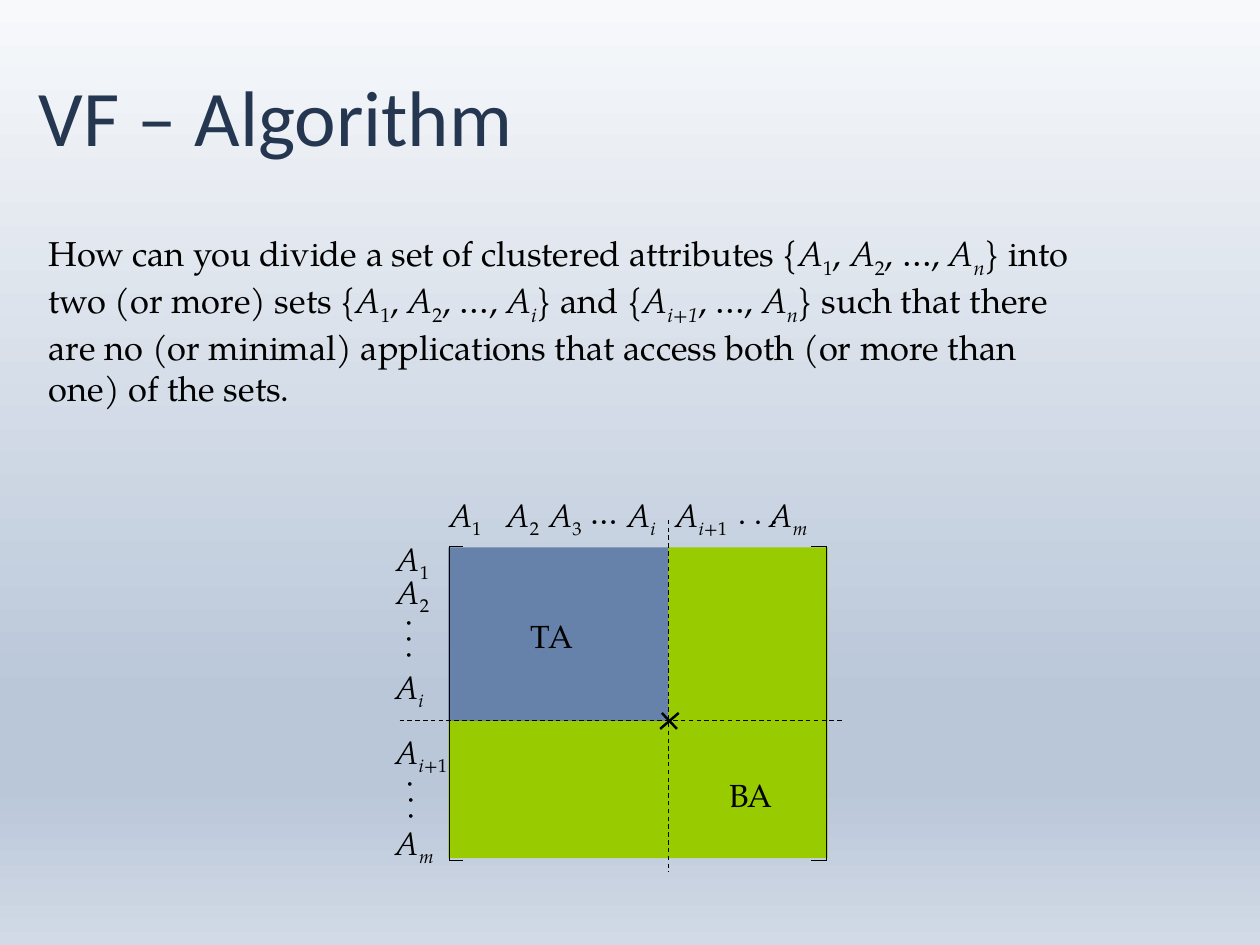
from dataclasses import dataclass

from lxml import etree
from pptx import Presentation
from pptx.dml.color import RGBColor as RGB
from pptx.enum.dml import MSO_LINE
from pptx.enum.shapes import MSO_CONNECTOR as CONN, MSO_SHAPE as SHAPE
from pptx.enum.text import MSO_ANCHOR as ANCHOR, MSO_AUTO_SIZE as AUTO, PP_ALIGN as ALIGN
from pptx.oxml.ns import qn
from pptx.util import Inches, Pt


@dataclass(frozen=True)
class Theme:
    title_font: str = "Calibri"
    text_font: str = "TeX Gyre Pagella"
    title_size: int = 64
    body_size: int = 28
    label_size: int = 26
    title: str = "253750"
    ink: str = "000000"
    green: str = "99CC00"
    blue: str = "6682AA"
    background: tuple = ((0, "F7F9FB"), (74, "BAC7D9"), (83, "BAC7D9"), (100, "D1DAE6"))


THEME = Theme()
PLAIN, ITALIC, SUB, ITALIC_SUB = (False, False), (True, False), (False, True), (True, True)


def attribute(index, style=ITALIC_SUB):
    return [("A", ITALIC), (index, style)]


def plain(text):
    return [(text, PLAIN)]


A1, A2, A3 = (attribute(n, SUB) for n in "123")
AI, AM, AN = (attribute(n) for n in "imn")
AI1 = AI + [("+1", SUB)]
COMMA, DOTS = plain(", "), plain(", …, ")

TITLE = "VF – Algorithm"
QUESTION = (
    plain("How can you divide a set of clustered attributes {")
    + A1 + COMMA + A2 + DOTS + AN
    + plain("} into two (or more) sets {")
    + A1 + COMMA + A2 + DOTS + AI
    + plain("} and {")
    + attribute("i+1") + DOTS + AN
    + plain("} such that there are no (or minimal) applications that access both "
            "(or more than one) of the sets.")
)
ROW_LABELS = [(A1, 4.35, 6.04, 0.62), (A2, 4.35, 6.42, 0.62), (AI, 4.32, 7.49, 0.6),
              (AI1, 4.34, 8.22, 0.83), (AM, 4.32, 9.25, 0.72)]
COLUMN_LABELS = [(A1, 4.94, 0.62), (A2, 5.59, 0.62), (A3, 6.07, 0.62),
                 (AI, 6.94, 0.6), (AI1, 7.5, 0.83), (AM, 8.54, 0.72)]
COLUMN_LABEL_TOP = 5.55
NOTES = [("…", 6.5, 5.49, 0.65), ("BA", 8.08, 8.69, 0.79), ("TA", 5.85, 6.89, 0.76)]
ELLIPSES = [(8.2, 5.49, 0), (4.39, 8.75, 89), (4.37, 6.93, 89)]

LEFT, SPLIT_X, RIGHT = 5.06, 7.54, 9.34
TOP, SPLIT_Y, BOTTOM = 6.18, 8.14, 9.69
BLOCKS = [(SPLIT_X, TOP, RIGHT, SPLIT_Y, THEME.green),
          (LEFT, SPLIT_Y, SPLIT_X, BOTTOM, THEME.green),
          (SPLIT_X, SPLIT_Y, RIGHT, BOTTOM, THEME.green),
          (LEFT, TOP, SPLIT_X, SPLIT_Y, THEME.blue)]
BRACKET_TOP, BRACKET_BOTTOM = 6.17, 9.72
BRACKETS = [(5.07, 0.15), (9.33, -0.18)]
DASHES = [(SPLIT_X, 5.87, SPLIT_X, 9.84), (4.51, SPLIT_Y, 9.53, SPLIT_Y)]
CROSS = [(7.47, 8.05, 7.64, 8.23), (7.66, 8.05, 7.45, 8.23)]


def set_background(s):
    fill = s.background.fill
    fill.gradient()
    fill.gradient_angle = 270
    stops = next(s._element.iter(qn("a:gsLst")))
    for stop in list(stops):
        stops.remove(stop)
    for percent, color in THEME.background:
        stop = etree.SubElement(stops, qn("a:gs"), pos=str(percent * 1000))
        etree.SubElement(stop, qn("a:srgbClr"), val=color)


def set_font(p, name, size, color):
    p.font.name, p.font.size = name, Pt(size)
    p.font.color.rgb = RGB.from_string(color)


def set_margins(tf, across, down):
    tf.margin_left = tf.margin_right = Inches(across)
    tf.margin_top = tf.margin_bottom = Inches(down)


def add_text(s, runs, box, margins, size=THEME.label_size, align=ALIGN.CENTER, wrap=False):
    sp = s.shapes.add_textbox(*map(Inches, box))
    tf = sp.text_frame
    tf.word_wrap = wrap
    tf.auto_size = AUTO.NONE if wrap else AUTO.SHAPE_TO_FIT_TEXT
    set_margins(tf, *margins)
    p = tf.paragraphs[0]
    p.alignment = align
    set_font(p, THEME.text_font, size, THEME.ink)
    for text, (italic, sub) in runs:
        r = p.add_run()
        r.text = text
        if italic:
            r.font.italic = True
        if sub:
            r._r.get_or_add_rPr().set("baseline", "-25000")
    return sp


def add_block(s, x1, y1, x2, y2, color):
    sp = s.shapes.add_shape(SHAPE.RECTANGLE, *map(Inches, (x1, y1, x2 - x1, y2 - y1)))
    sp.shadow.inherit = False
    sp.fill.solid()
    sp.fill.fore_color.rgb = RGB.from_string(color)
    sp.line.fill.background()


def add_line(s, x1, y1, x2, y2, width=1, dash=None):
    line = s.shapes.add_connector(CONN.STRAIGHT, *map(Inches, (x1, y1, x2, y2)))
    line.line.color.rgb = RGB.from_string(THEME.ink)
    line.line.width = Pt(width)
    if dash:
        line.line.dash_style = dash
    etree.SubElement(line._element.spPr, qn("a:effectLst"))


def add_title(s):
    sp = s.shapes.title
    sp.left, sp.top, sp.width, sp.height = map(Inches, (0.38, 0.49, 13.44, 1.76))
    tf = sp.text_frame
    tf.text = TITLE
    tf.vertical_anchor = ANCHOR.MIDDLE
    set_margins(tf, 0.06, 0.06)
    p = tf.paragraphs[0]
    p.alignment = ALIGN.LEFT
    p.line_spacing = 0.9
    set_font(p, THEME.title_font, THEME.title_size, THEME.title)


def add_matrix(s):
    for block in BLOCKS:
        add_block(s, *block)
    for x, tick in BRACKETS:
        add_line(s, x, BRACKET_TOP, x, BRACKET_BOTTOM)
        for y in (BRACKET_TOP, BRACKET_BOTTOM):
            add_line(s, x, y, x + tick, y)
    for ends in DASHES:
        add_line(s, *ends, width=0.9, dash=MSO_LINE.DASH)
    for ends in CROSS:
        add_line(s, *ends, width=2)


def add_labels(s):
    columns = [(runs, x, COLUMN_LABEL_TOP, w) for runs, x, w in COLUMN_LABELS]
    for runs, x, y, w in ROW_LABELS + columns:
        add_text(s, runs, (x, y, w, 0.54), (0.1, 0.05))
    for text, x, y, w in NOTES:
        add_text(s, plain(text), (x, y, w, 0.58), (0.14, 0.07))
    for x, y, angle in ELLIPSES:
        sp = add_text(s, plain(". . ."), (x, y, 0.74, 0.58), (0.14, 0.07),
                      align=ALIGN.LEFT, wrap=True)
        sp.rotation = angle


def main():
    prs = Presentation()
    prs.slide_width, prs.slide_height = Inches(14.22), Inches(10.67)
    s = prs.slides.add_slide(prs.slide_layouts[5])
    set_background(s)
    add_title(s)
    add_text(s, QUESTION, (0.49, 2.56, 11.7, 2.77), (0.06, 0.06),
             size=THEME.body_size, align=ALIGN.LEFT, wrap=True)
    add_matrix(s)
    add_labels(s)
    prs.save("out.pptx")


if __name__ == "__main__":
    main()
